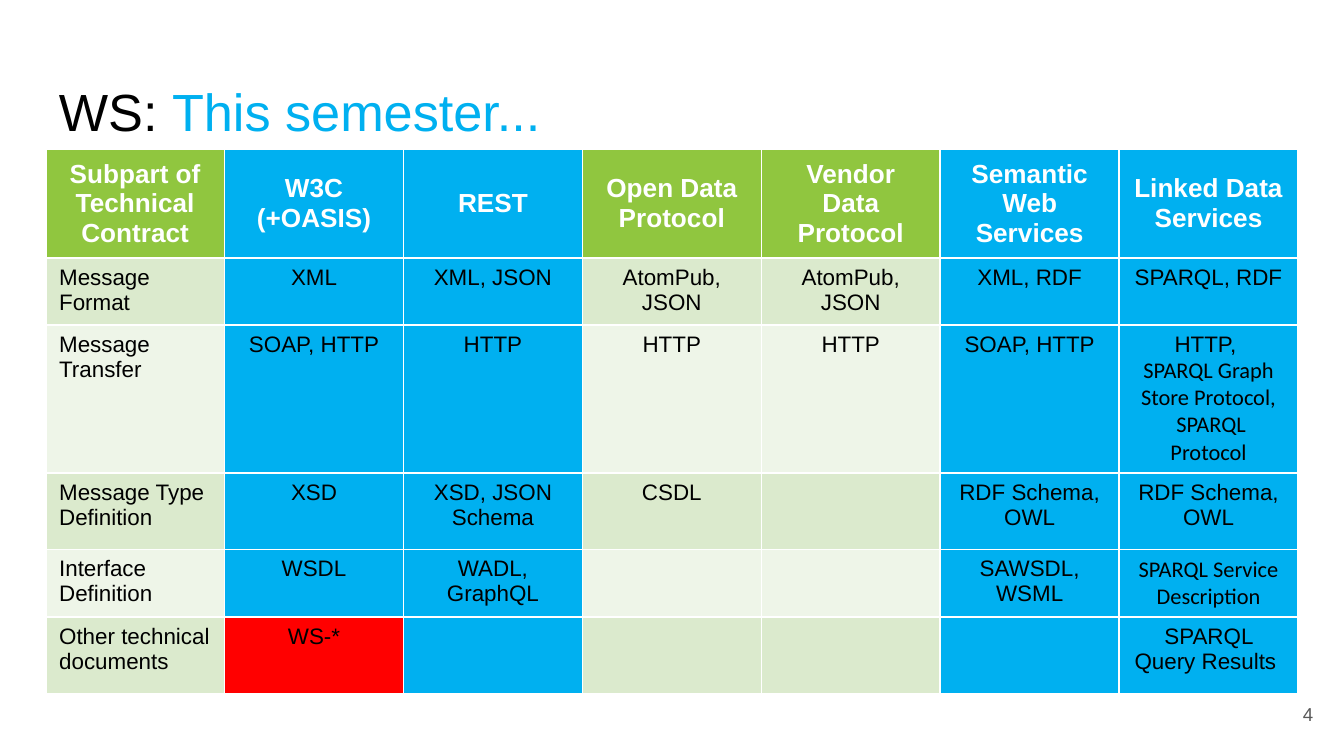
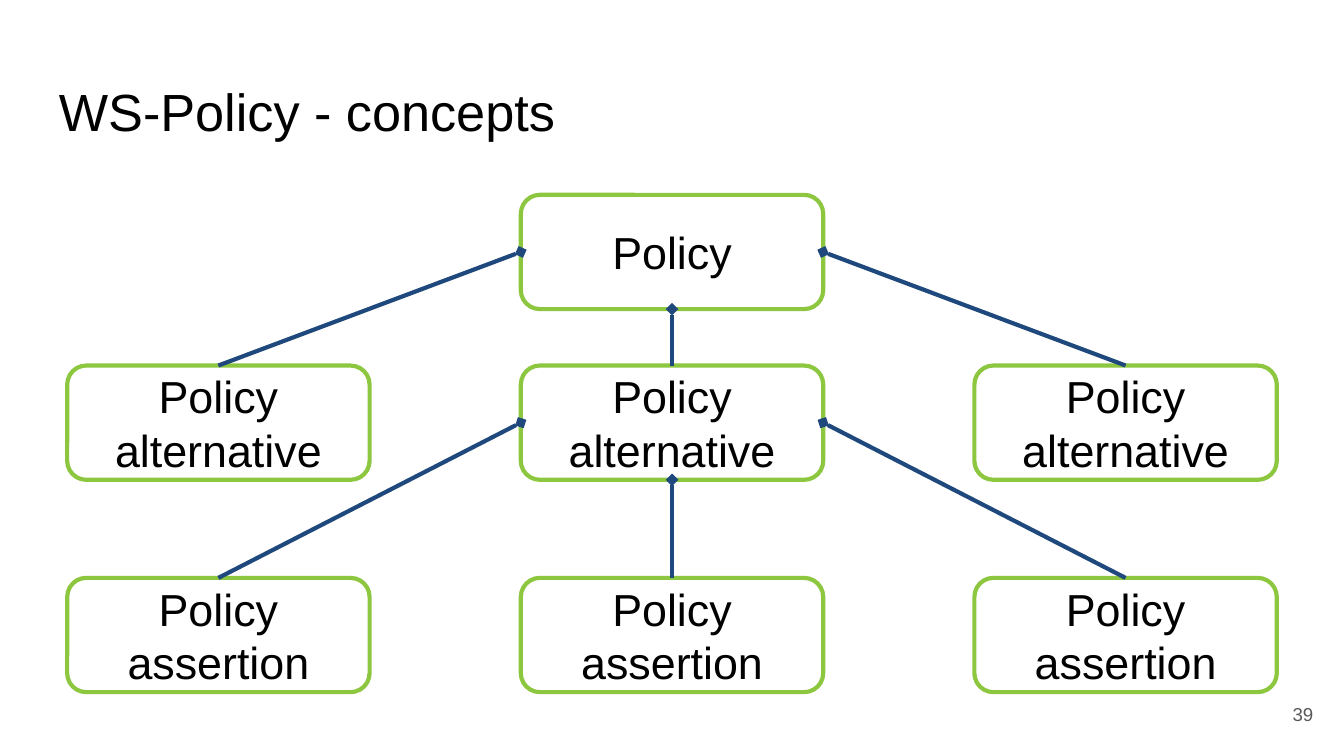
from pptx import Presentation
from pptx.util import Inches, Pt
from pptx.dml.color import RGBColor
from pptx.enum import shapes, text
from pptx.oxml import parse_xml
from pptx.oxml.ns import nsdecls

COL = {"ink": "000000", "white": "FFFFFF", "sky": "00B0F0", "lime": "90C63F",
       "pale": "DBEACD", "mist": "EEF5E8", "red": "FF0000",
       "edge": "8DC63F", "navy": "1F497D", "grey": "595959"}
MID = text.PP_ALIGN.CENTER


def style(para, size, color, align=None, face="Arial"):
    para.alignment = align
    para.font.name = face
    para.font.size = Pt(size)
    para.font.color.rgb = RGBColor.from_string(COL[color])


def label(slide, box, words):
    frame = slide.shapes.add_textbox(*map(Inches, box)).text_frame
    frame.word_wrap = True
    frame.margin_left = frame.margin_right = Inches(0.1)
    frame.margin_top = frame.margin_bottom = Inches(0.1)
    frame.text = words
    return frame


# A 16:9 page
deck = Presentation()
deck.slide_width = Inches(10)
deck.slide_height = deck.slide_width * 9 // 16

# Title and page number on both slides
pages = []
for title, accent, num in [("WS: ", "This semester...", "4"),
                           ("WS-Policy - concepts", "", "39")]:
    slide = deck.slides.add_slide(deck.slide_layouts[6])
    para = label(slide, (0.34, 0.49, 9.32, 0.63), title).paragraphs[0]
    style(para, 28, "ink")
    if accent:
        run = para.add_run()
        run.text = accent
        run.font.color.rgb = RGBColor.from_string(COL["sky"])
    foot = label(slide, (9.27, 5.1, 0.6, 0.43), num)
    foot.vertical_anchor = text.MSO_ANCHOR.MIDDLE
    style(foot.paragraphs[0], 10, "grey", text.PP_ALIGN.RIGHT)
    pages.append(slide)

# Table of technical contracts; its style draws the white borders
rows = [
    ["Subpart of Technical Contract", "W3C (+OASIS)", "REST", "Open Data Protocol",
     "Vendor Data Protocol", "Semantic Web Services", "Linked Data Services"],
    ["Message Format", "XML", "XML, JSON", "AtomPub,\nJSON", "AtomPub, JSON",
     "XML, RDF", "SPARQL, RDF"],
    ["Message Transfer", "SOAP, HTTP", "HTTP", "HTTP", "HTTP", "SOAP, HTTP",
     "HTTP, \nSPARQL Graph Store Protocol,\n SPARQL Protocol"],
    ["Message Type Definition", "XSD", "XSD, JSON Schema", "CSDL", "",
     "RDF Schema, OWL", "RDF Schema, OWL"],
    ["Interface Definition", "WSDL", "WADL, GraphQL", "", "", "SAWSDL, WSML",
     "SPARQL Service Description"],
    ["Other technical documents", "WS-*", "", "", "", "", "SPARQL Query Results "],
]
tall = [0.81, 0.4, 0.83, 0.57, 0.4, 0.57]
taught = {1, 2, 5, 6}
calibri = {"SPARQL Graph Store Protocol,", " SPARQL Protocol",
           "SPARQL Service Description"}
grid = pages[0].shapes.add_table(len(rows), len(rows[0]), Inches(0.34), Inches(1.11),
                                 Inches(9.32), Inches(sum(tall))).table
for r, row in enumerate(rows):
    grid.rows[r].height = Inches(tall[r])
    for c, words in enumerate(row):
        cell = grid.cell(r, c)
        cell.text = words
        for para in cell.text_frame.paragraphs:
            face = "Calibri" if para.text in calibri else "Arial"
            align = None if r and c == 0 else MID
            style(para, 12 if r else 14, "ink" if r else "white", align, face)
            para.font.bold = r == 0
        if r == 0:
            cell.vertical_anchor = text.MSO_ANCHOR.MIDDLE
        fill = "sky" if c in taught else ("pale" if r % 2 else "mist") if r else "lime"
        if words == "WS-*":
            fill = "red"
        cell.fill.solid()
        cell.fill.fore_color.rgb = RGBColor.from_string(COL[fill])

# Policy boxes, keyed by tier and column
slide = pages[1]
nodes = {}
tiers = [(1.45, "Policy", [1]), (2.72, "Policy\valternative", range(3)),
         (4.3, "Policy\vassertion", range(3))]
for t, (top, words, cols) in enumerate(tiers):
    for c in cols:
        box = slide.shapes.add_shape(
            shapes.MSO_SHAPE.ROUNDED_RECTANGLE, Inches(0.5) + c * Inches(6.75) // 2,
            Inches(top), Inches(2.25), Inches(0.85))
        box.shadow.inherit = False
        box.fill.solid()
        box.fill.fore_color.rgb = RGBColor.from_string(COL["white"])
        box.line.color.rgb = RGBColor.from_string(COL["edge"])
        box.line.width = Pt(2.25)
        frame = box.text_frame
        frame.margin_top = frame.margin_bottom = Inches(0.1)
        frame.vertical_anchor = text.MSO_ANCHOR.MIDDLE
        frame.text = words
        style(frame.paragraphs[0], 24, "ink", MID)
        nodes[t, c] = box

# Links from the middle box of each tier to the tier below
for t in range(2):
    for c, site in enumerate([1, 2, 3]):
        link = slide.shapes.add_connector(shapes.MSO_CONNECTOR.STRAIGHT, 0, 0, 0, 0)
        link.begin_connect(nodes[t, 1], site)
        link.end_connect(nodes[t + 1, c], 0)
        link.line.color.rgb = RGBColor.from_string(COL["navy"])
        link.line.width = Pt(2.25)
        link.line._get_or_add_ln().append(
            parse_xml(f'<a:headEnd {nsdecls("a")} type="diamond"/>'))
        link._element.spPr.append(parse_xml(f'<a:effectLst {nsdecls("a")}/>'))

deck.save("out.pptx")
